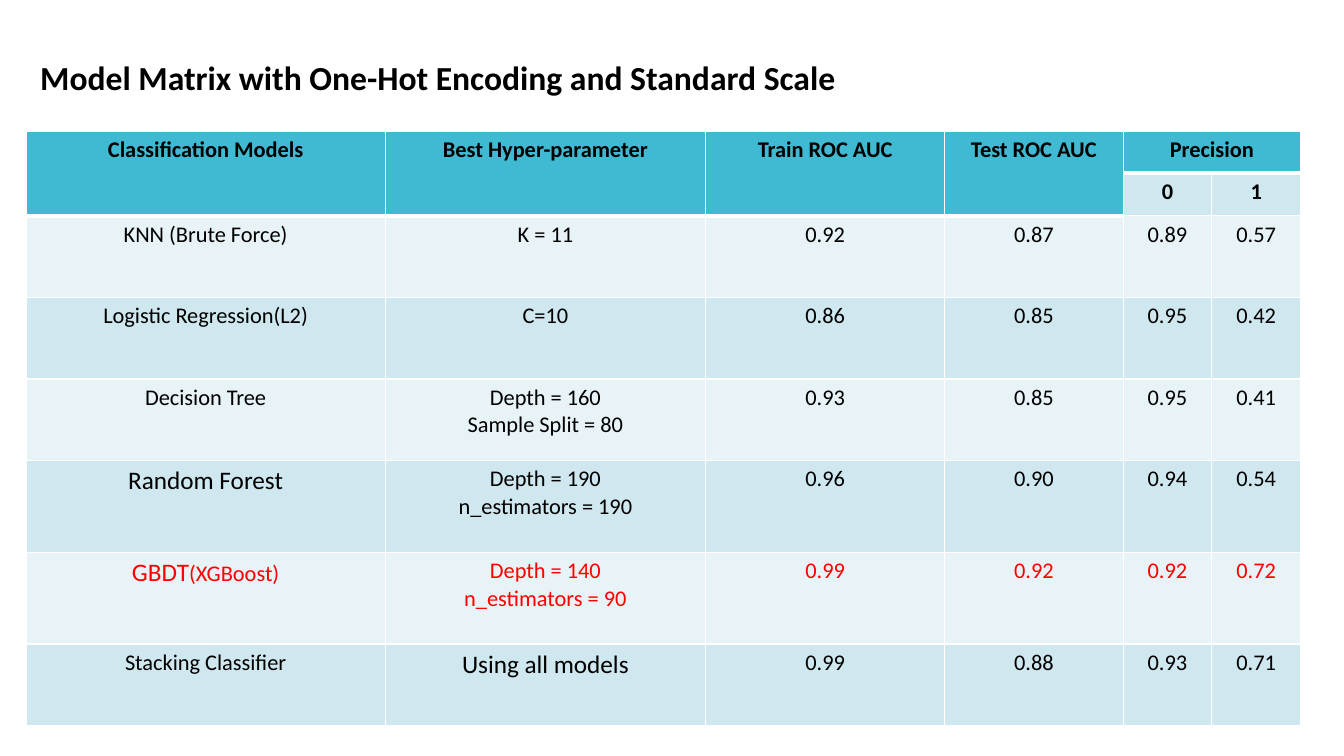
from lxml.etree import SubElement
from pptx import Presentation
from pptx.dml.color import RGBColor
from pptx.enum.text import PP_ALIGN
from pptx.oxml.ns import qn
from pptx.util import Inches, Pt

TITLE = "Model Matrix with One-Hot Encoding and Standard Scale"
HEADERS = [
    ("Classification Models", "Best Hyper-parameter", "Train ROC AUC", "Test ROC AUC", "Precision", ""),
    ("", "", "", "", "0", "1"),
]
MODELS = [
    ("KNN (Brute Force)", "K = 11", "0.92", "0.87", "0.89", "0.57"),
    ("Logistic Regression(L2)", "C=10", "0.86", "0.85", "0.95", "0.42"),
    ("Decision Tree", "Depth = 160\nSample Split = 80", "0.93", "0.85", "0.95", "0.41"),
    ("Random Forest", "Depth = 190\nn_estimators = 190", "0.96", "0.90", "0.94", "0.54"),
    ("GBDT", "Depth = 140\nn_estimators = 90", "0.99", "0.92", "0.92", "0.72"),
    ("Stacking Classifier", "Using all models", "0.99", "0.88", "0.93", "0.71"),
]
BEST_MODEL = "GBDT"
BEST_MODEL_SUFFIX = "(XGBoost)"
LARGE_TEXTS = ("Random Forest", "GBDT", "Using all models")
COLUMN_WIDTHS = (3.56, 3.18, 2.37, 1.77, 0.88, 0.88)
ROW_HEIGHTS = (0.42, 0.42, 0.81, 0.81, 0.81, 0.91, 0.91, 0.81)
PRECISION_COLUMN = 4

FONT = "Calibri"
BLACK = RGBColor(0x00, 0x00, 0x00)
RED = RGBColor(0xFF, 0x00, 0x00)
WHITE = RGBColor(0xFF, 0xFF, 0xFF)
HEADER_BLUE = RGBColor(0x40, 0xBA, 0xD2)
BAND_DARK = RGBColor(0xCF, 0xE7, 0xEE)
BAND_LIGHT = RGBColor(0xE8, 0xF3, 0xF7)


def format_run(run, size, color, bold):
    run.font.name = FONT
    run.font.size = Pt(size)
    run.font.bold = bold
    run.font.color.rgb = color


def add_borders(cell, top, bottom):
    """Draw white cell borders; top and bottom are widths in points."""
    properties = cell._tc.get_or_add_tcPr()
    for tag, width in (("a:lnL", 1), ("a:lnR", 1), ("a:lnT", top), ("a:lnB", bottom)):
        line = SubElement(properties, qn(tag), w=str(Pt(width)))
        fill = SubElement(line, qn("a:solidFill"))
        SubElement(fill, qn("a:srgbClr"), val=str(WHITE))


def fill_cell(cell, text, row, column):
    is_header = row < len(HEADERS)
    is_precision = column >= PRECISION_COLUMN
    header_end = 0 if is_precision else 1
    add_borders(
        cell,
        top=3 if row == header_end + 1 else 1,
        bottom=3 if row <= header_end else 1,
    )
    cell.fill.solid()
    if row <= header_end:
        cell.fill.fore_color.rgb = HEADER_BLUE
    else:
        cell.fill.fore_color.rgb = BAND_DARK if row % 2 else BAND_LIGHT

    paragraph = cell.text_frame.paragraphs[0]
    paragraph.text = text
    paragraph.alignment = PP_ALIGN.CENTER
    if text == BEST_MODEL:
        paragraph.add_run().text = BEST_MODEL_SUFFIX
    is_best = not is_header and MODELS[row - len(HEADERS)][0] == BEST_MODEL
    for run in paragraph.runs:
        size = 18 if run.text in LARGE_TEXTS else 16
        format_run(run, size, RED if is_best else BLACK, is_header)
    # Line breaks and the paragraph end follow the cell's text size.
    paragraph.font.size = Pt(16)


def add_model_table(slide):
    rows = HEADERS + MODELS
    table = slide.shapes.add_table(
        len(rows), len(COLUMN_WIDTHS), Inches(0.26), Inches(1.3),
        Inches(sum(COLUMN_WIDTHS)), Inches(sum(ROW_HEIGHTS)),
    ).table
    for column, width in zip(table.columns, COLUMN_WIDTHS):
        column.width = Inches(width)
    for row, height in zip(table.rows, ROW_HEIGHTS):
        row.height = Inches(height)
    for row, texts in enumerate(rows):
        for column, text in enumerate(texts):
            fill_cell(table.cell(row, column), text, row, column)
    for column in range(PRECISION_COLUMN):
        table.cell(0, column).merge(table.cell(1, column))
    table.cell(0, PRECISION_COLUMN).merge(table.cell(0, PRECISION_COLUMN + 1))


def add_title(slide):
    title = slide.shapes.add_textbox(Inches(0.3), Inches(0.52), Inches(10.65), Inches(0.5))
    title.text_frame.word_wrap = True
    title.text_frame.text = TITLE
    format_run(title.text_frame.paragraphs[0].runs[0], 24, BLACK, True)


def main():
    presentation = Presentation()
    presentation.slide_width = Inches(13.33)
    presentation.slide_height = Inches(7.5)
    slide = presentation.slides.add_slide(presentation.slide_layouts[6])
    add_model_table(slide)
    add_title(slide)
    presentation.save("out.pptx")


if __name__ == "__main__":
    main()
